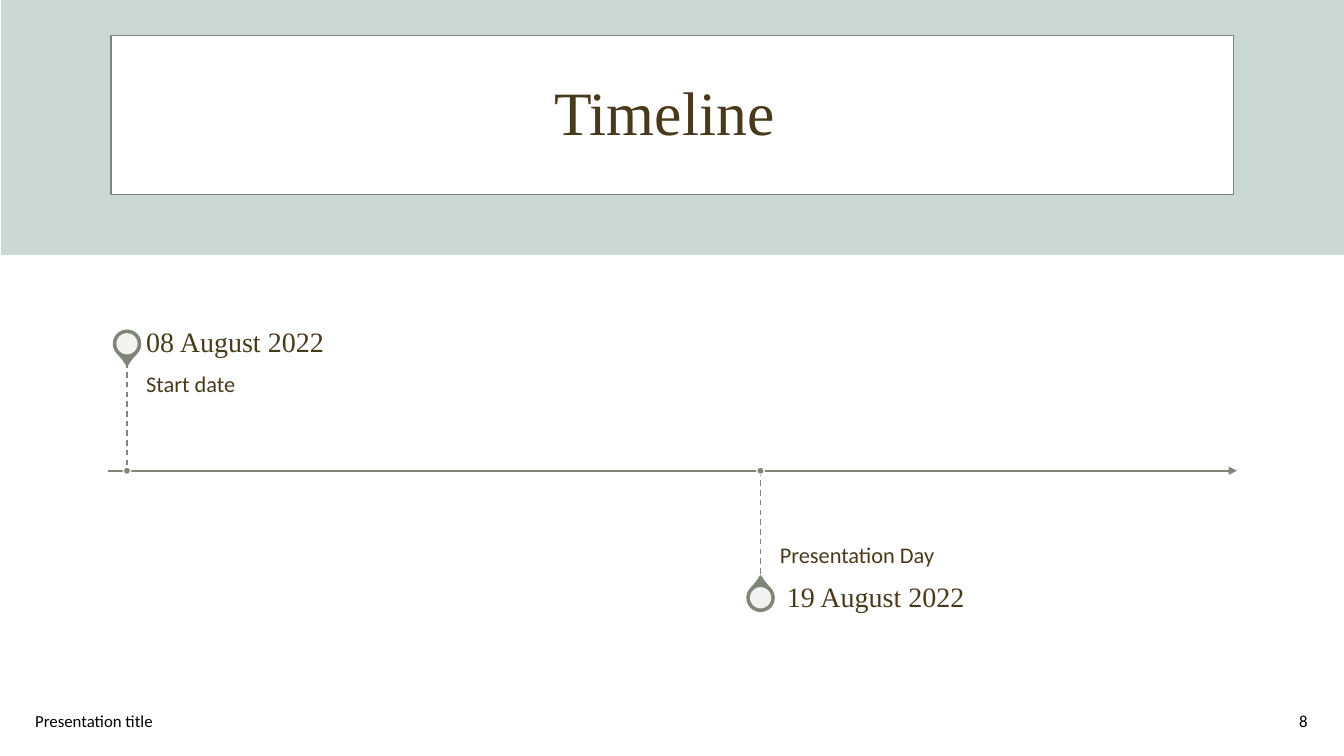
from lxml.etree import SubElement
from pptx import Presentation
from pptx.dml.color import RGBColor
from pptx.enum.dml import MSO_LINE
from pptx.enum.shapes import MSO_CONNECTOR, MSO_SHAPE
from pptx.enum.text import MSO_ANCHOR, MSO_AUTO_SIZE, PP_ALIGN
from pptx.oxml.ns import qn
from pptx.util import Inches, Pt

SAGE, MIST, BROWN, WHITE, BLACK = "7E8679", "CAD8D6", "4A3A1C", "FFFFFF", "000000"
SERIF, SANS = "Times New Roman", "Calibri"


def rgb(value):
    return RGBColor.from_string(value)


class Deck:
    """Slide on a grid of 100 columns by 100 rows."""

    def __init__(self, width, height):
        self.prs = Presentation()
        self.prs.slide_width, self.prs.slide_height = Inches(width), Inches(height)
        self.col, self.row = self.prs.slide_width / 100, self.prs.slide_height / 100
        self.s = self.prs.slides.add_slide(self.prs.slide_layouts[5])

    def box(self, x, y, w, h):
        return (round(x * self.col), round(y * self.row),
                round(w * self.col), round(h * self.row))

    def shape(self, kind, x, y, w, h, fill, line=None, alpha=None):
        sp = self.s.shapes.add_shape(kind, *self.box(x, y, w, h))
        sp.shadow.inherit = False
        sp.fill.solid()
        sp.fill.fore_color.rgb = rgb(fill)
        if alpha:
            color = sp.element.spPr.find(qn("a:solidFill"))[0]
            SubElement(color, qn("a:alpha"), val=str(alpha * 1000))
        if line:
            sp.line.color.rgb = rgb(line)
            sp.line.width = Pt(1)
        else:
            sp.line.fill.background()
        return sp

    def disc(self, kind, cx, cy, size, *style):
        """Round shape by centre, with its diameter in columns."""
        tall = size * self.col / self.row
        return self.shape(kind, cx - size / 2, cy - tall / 2, size, tall, *style)

    def line(self, x1, y1, x2, y2, width, dash=None, arrow=False):
        ends = *self.box(x1, y1, 0, 0)[:2], *self.box(x2, y2, 0, 0)[:2]
        cn = self.s.shapes.add_connector(MSO_CONNECTOR.STRAIGHT, *ends)
        cn.line.color.rgb = rgb(SAGE)
        cn.line.width = Pt(width)
        if dash:
            cn.line.dash_style = dash
        if arrow:
            SubElement(cn.element.spPr.find(qn("a:ln")), qn("a:tailEnd"), type="triangle")
        SubElement(cn.element.spPr, qn("a:effectLst"))

    def set_text(self, sp, text, size, font, color, align=PP_ALIGN.LEFT,
                 anchor=MSO_ANCHOR.MIDDLE, spacing=1.0, insets=None):
        tf = sp.text_frame
        tf.word_wrap = True
        tf.auto_size = MSO_AUTO_SIZE.NONE
        tf.vertical_anchor = anchor
        if insets:
            tf.margin_left = tf.margin_right = 0
            tf.margin_top, tf.margin_bottom = (round(i * self.row) for i in insets)
        p = tf.paragraphs[0]
        p.text = text
        p.alignment, p.line_spacing = align, spacing
        p.font.size, p.font.name = Pt(size), font
        p.font.color.rgb = rgb(color)

    def text(self, x, y, w, h, *args, **style):
        sp = self.s.shapes.add_textbox(*self.box(x, y, w, h))
        self.set_text(sp, *args, **style)

    def title(self, x, y, w, h, *args, **style):
        sp = self.s.shapes.title
        sp.left, sp.top, sp.width, sp.height = self.box(x, y, w, h)
        sp.element.getparent().append(sp.element)  # bring in front of the panel
        self.set_text(sp, *args, **style)

    def milestone(self, x, axis, side, date, label):
        """Pin, stem and texts; side is -1 above the axis and 1 below."""
        reach, date_h, text_x, text_w = 14.33, 5.07, x + 1.43, 30.53
        tip = axis + side * reach
        pin_y = tip + side * 2.47

        # Pin
        pin = self.disc(MSO_SHAPE.TEAR, x, pin_y, 2.02, SAGE, SAGE)
        pin.adjustments[0] = 1.15
        pin.rotation = 225 + 90 * side
        self.disc(MSO_SHAPE.OVAL, x, pin_y, 1.58, WHITE, None, 90)

        # Label beside the stem, date beside the pin
        above = side < 0
        self.text(text_x, min(tip, axis), text_w, reach, label, 16, SANS, BROWN,
                  anchor=MSO_ANCHOR.TOP if above else MSO_ANCHOR.BOTTOM,
                  spacing=0.9, insets=(1.47, 2.27) if above else (2.27, 1.47))
        self.text(text_x, min(tip, tip + side * date_h), text_w, date_h,
                  date, 20, SERIF, BROWN, spacing=0.9, insets=(0, 0))

        # Stem and its dot on the axis
        self.line(x, min(tip, axis), x, max(tip, axis), 1, MSO_LINE.DASH)
        self.disc(MSO_SHAPE.OVAL, x, axis, 0.55, SAGE, WHITE)


def main():
    deck = Deck(13.33, 7.5)

    # Header band, panel and title
    deck.shape(MSO_SHAPE.RECTANGLE, 0.08, 0, 99.92, 33.73, MIST)
    deck.shape(MSO_SHAPE.RECTANGLE, 8.25, 4.67, 83.55, 21.07, WHITE, SAGE)
    deck.title(3.15, 5.6, 93.75, 19.33, "Timeline ", 44, SERIF, BROWN,
               align=PP_ALIGN.CENTER, spacing=0.9)

    # Footer
    deck.text(1.88, 92.67, 33.75, 5.33, "Presentation title", 12, SANS, BLACK)
    deck.text(75.53, 92.67, 22.5, 5.33, "8", 12, SANS, BLACK, align=PP_ALIGN.RIGHT)

    # Timeline
    axis = 62.27
    deck.line(8.03, axis, 92.03, axis, 1.5, arrow=True)
    deck.milestone(9.45, axis, -1, "08 August 2022", "Start date")
    deck.milestone(56.59, axis, 1, " 19 August 2022", "Presentation Day")

    deck.prs.save("out.pptx")


if __name__ == "__main__":
    main()
